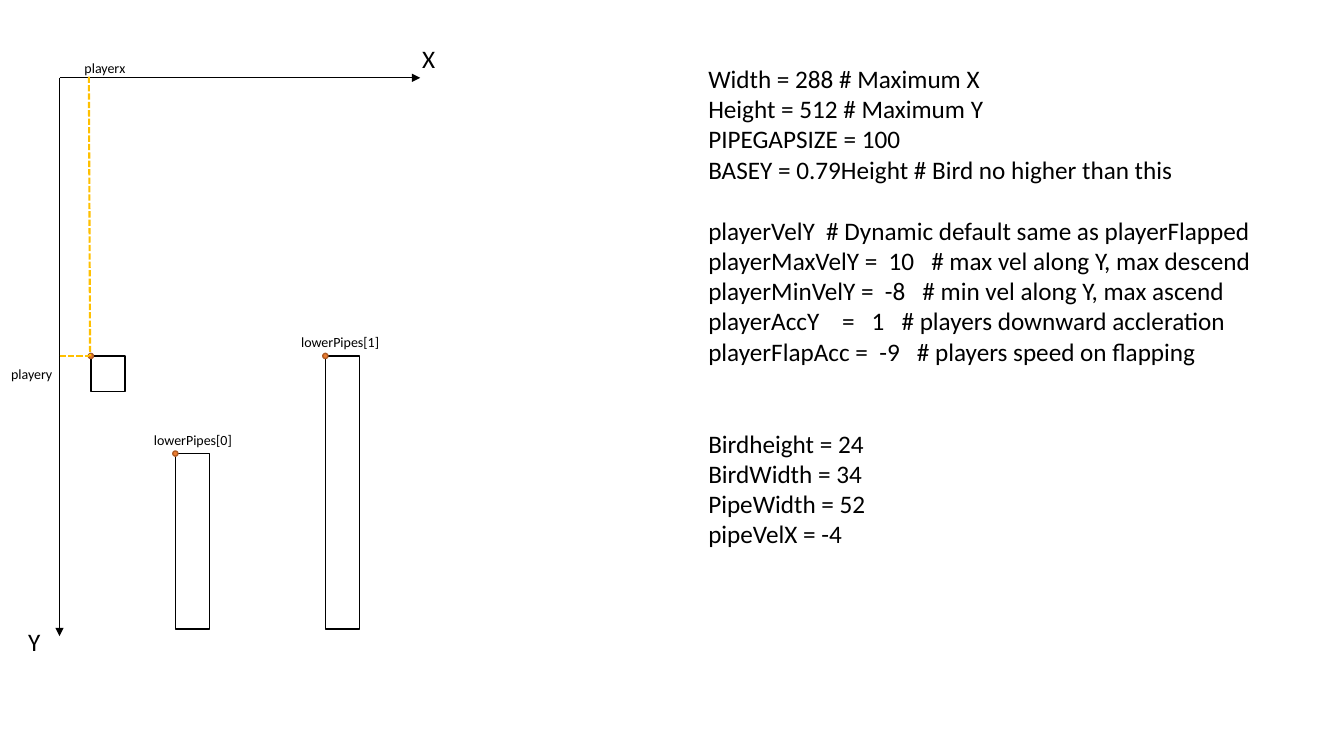
from collections import namedtuple

from lxml import etree
from pptx import Presentation
from pptx import util as u
from pptx.dml.color import RGBColor
from pptx.enum import dml, shapes
from pptx.oxml import ns

BLACK = RGBColor(0x00, 0x00, 0x00)
WHITE = RGBColor(0xFF, 0xFF, 0xFF)
GUIDE_YELLOW = RGBColor(0xFF, 0xC0, 0x00)
CORNER_ORANGE = RGBColor(0xED, 0x7D, 0x31)
CORNER_BROWN = RGBColor(0xAF, 0x5C, 0x24)
FONT = "Calibri"
CODE_SIZE, LABEL_SIZE = 18, 10
CODE_LINE = 22  # height of one line of code, in points
DOT = 0.13

Box = namedtuple("Box", "left top width height")  # centimetres

CODE_GROUPS = [  # blank lines before the group, its lines
    (0, ["Width = 288 # Maximum X",
         "Height = 512 # Maximum Y",
         "PIPEGAPSIZE = 100",
         "BASEY = 0.79Height # Bird no higher than this"]),
    (1, ["playerVelY  # Dynamic default same as playerFlapped",
         "playerMaxVelY =  10   # max vel along Y, max descend",
         "playerMinVelY =  -8   # min vel along Y, max ascend",
         "playerAccY    =   1   # players downward accleration",
         "playerFlapAcc =  -9   # players speed on flapping"]),
    (2, ["Birdheight = 24",
         "BirdWidth = 34",
         "PipeWidth = 52",
         "pipeVelX = -4"]),
]


def within(area, left, top, width=0, height=0):
    """Turn a box relative to an area into a box on the slide."""
    return Box(area.left + left, area.top + top, width, height)


def add_text(slide, box, lines, size):
    """Write one paragraph per line and return the paragraphs."""
    frame = slide.shapes.add_textbox(*map(u.Cm, box)).text_frame
    frame.word_wrap = True
    frame.text = "\n".join(lines)
    for paragraph in frame.paragraphs:
        paragraph.font.name = FONT
        paragraph.font.size = u.Pt(size)
        paragraph.font.color.rgb = BLACK
    return frame.paragraphs


def add_outlined(slide, preset, box, fill, outline):
    """Draw a filled preset shape with a one-point outline."""
    figure = slide.shapes.add_shape(preset, *map(u.Cm, box))
    figure.shadow.inherit = False
    figure.fill.solid()
    figure.fill.fore_color.rgb = fill
    figure.line.color.rgb = outline
    figure.line.width = u.Pt(1)


def add_line(slide, start, end, color, width):
    """Draw a shadowless straight connector and return it."""
    ends = map(u.Cm, (start.left, start.top, end.left, end.top))
    line = slide.shapes.add_connector(shapes.MSO_CONNECTOR.STRAIGHT, *ends)
    line.line.color.rgb = color
    line.line.width = u.Pt(width)
    etree.SubElement(line._element.spPr, ns.qn("a:effectLst"))
    return line


def add_axes(slide, area):
    """Draw the X and Y axes from the area's top left corner."""
    for name, right, down, label_left, label_top in (
            ("X", area.width, 0, 8.89, -0.99),
            ("Y", 0, area.height, -1.04, 13.71)):
        axis = add_line(slide, within(area, 0, 0), within(area, right, down),
                        BLACK, 0.5)
        etree.SubElement(axis.line._get_or_add_ln(), ns.qn("a:tailEnd"),
                         type="triangle")
        add_text(slide, within(area, label_left, label_top, 1.65, 1.02),
                 [name], CODE_SIZE)


def add_sprite(slide, box):
    """Draw a sprite's rectangle with a dot on its top left corner."""
    add_outlined(slide, shapes.MSO_SHAPE.RECTANGLE, box, WHITE, BLACK)
    dot = within(box, -DOT / 2, -DOT / 2, DOT, DOT)
    add_outlined(slide, shapes.MSO_SHAPE.OVAL, dot, CORNER_ORANGE, CORNER_BROWN)


def add_pipes(slide, area):
    """Stand the labelled lower pipes on their common ground."""
    ground = 13.89
    for index, (left, top, label_left) in enumerate(
            [(2.92, 9.47, 2.13), (6.7, 7.01, 5.84)]):
        add_sprite(slide, within(area, left, top, 0.86, ground - top))
        add_text(slide, within(area, label_left, top - 0.69, 2.84, 0.69),
                 [f"lowerPipes[{index}]"], LABEL_SIZE)


def add_player(slide, area):
    """Draw the bird with dashed guides to both axes."""
    left, top = 0.79, 7.01
    add_sprite(slide, within(area, left, top, 0.86, 0.89))
    guide_x = left - 0.05
    for name, start, end, label_left, label_top in (
            ("playerx", (guide_x, -0.03), (left - 0.02, top), 0.38, -0.59),
            ("playery", (0, top), (guide_x, top), -1.47, 7.13)):
        guide = add_line(slide, within(area, *start), within(area, *end),
                         GUIDE_YELLOW, 1.5)
        guide.line.dash_style = dml.MSO_LINE.SQUARE_DOT
        add_text(slide, within(area, label_left, label_top, 1.75, 0.69),
                 [name], LABEL_SIZE)


def add_constants(slide, area):
    """List the game constants, with gaps between the groups."""
    lines = [line for _, group in CODE_GROUPS for line in group]
    paragraphs = add_text(slide, area, lines, CODE_SIZE)
    first = 0
    for blank_lines, group in CODE_GROUPS:
        paragraphs[first].space_before = u.Pt(blank_lines * CODE_LINE)
        first += len(group)


def build_game_slide(deck, plot, constants):
    """Build the slide with the coordinate plot and the constants."""
    slide = deck.slides.add_slide(deck.slide_layouts.get_by_name("Blank"))
    add_axes(slide, plot)
    add_pipes(slide, plot)
    add_player(slide, plot)
    add_constants(slide, constants)


deck = Presentation()
deck.slide_width, deck.slide_height = u.Cm(33.87), u.Cm(19.05)
build_game_slide(deck, plot=Box(1.5, 1.96, 9.09, 14.07),
                 constants=Box(17.6, 1.47, 14.91, 13.34))
deck.save("out.pptx")
